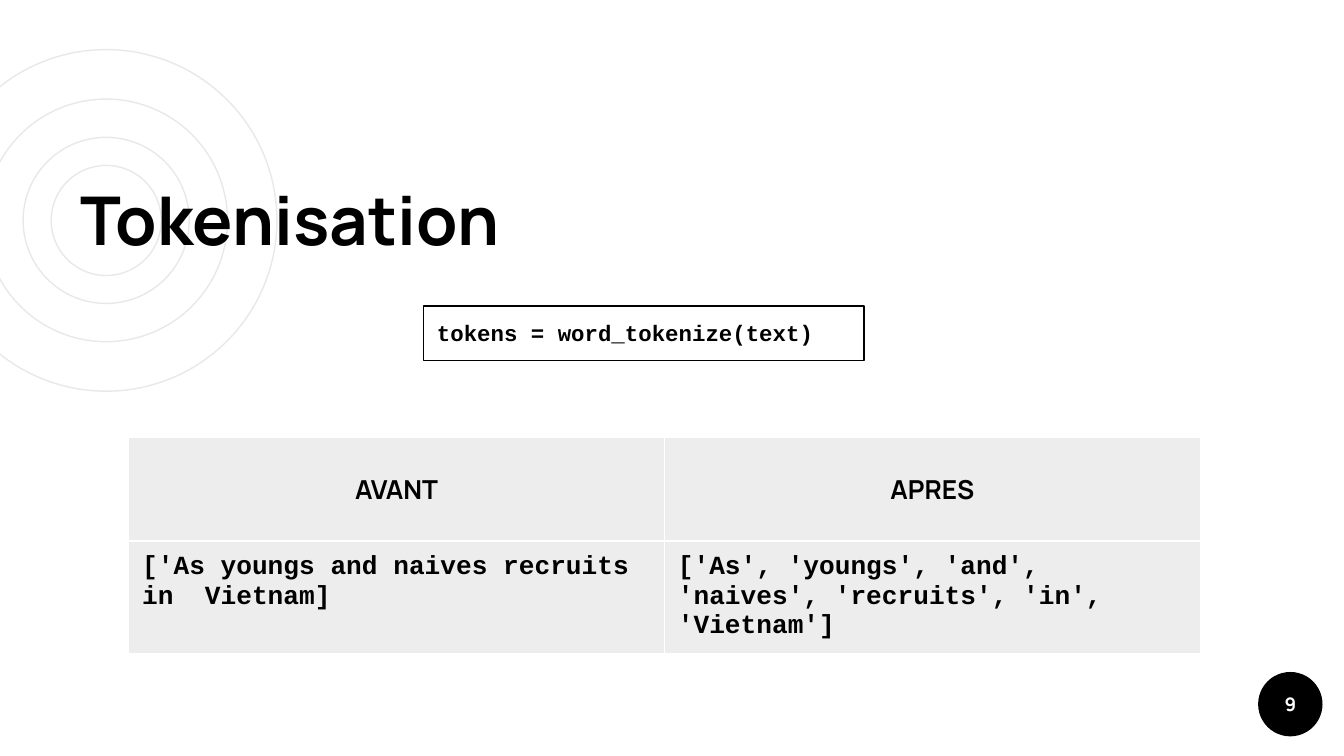
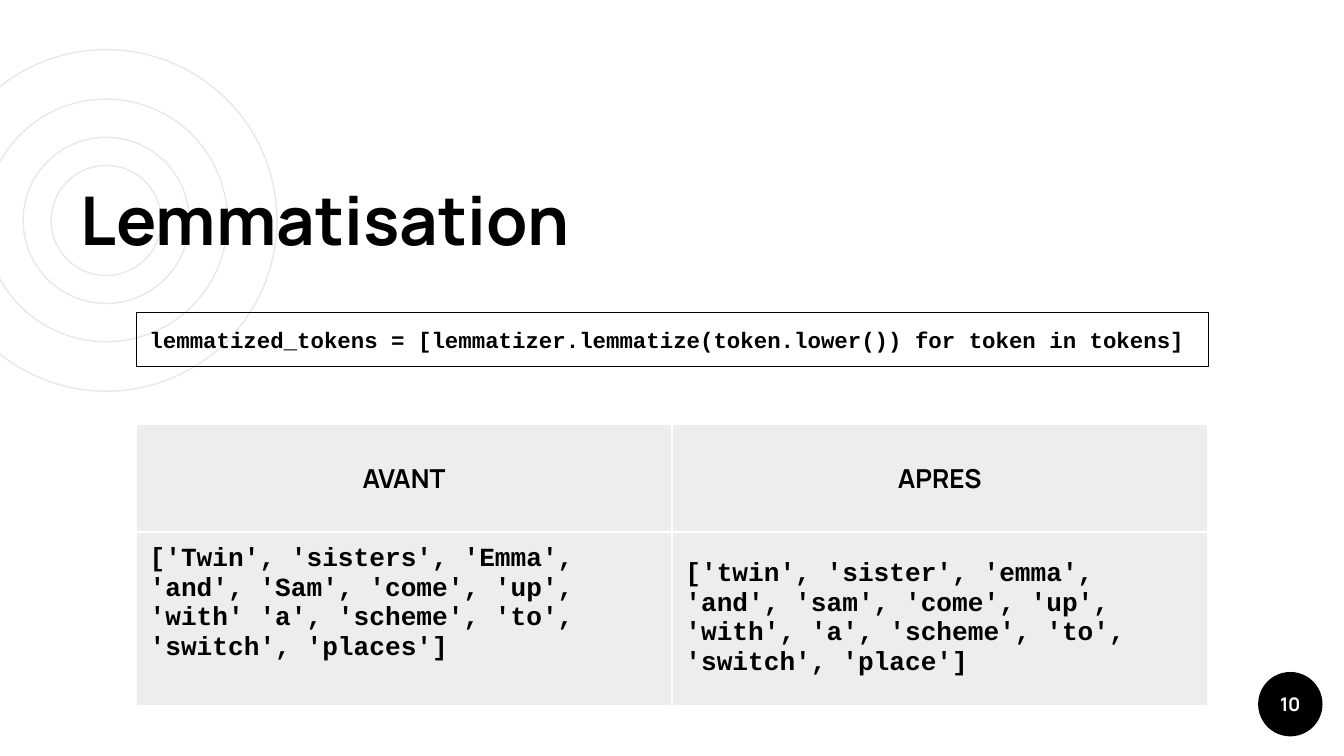
from lxml import etree
from pptx import Presentation
from pptx.dml.color import RGBColor
from pptx.enum import shapes, text
from pptx.oxml import ns
from pptx.util import Pt

BLACK, WHITE, RING_GREY = "000000", "FFFFFF", "E8E8E8"
SANS, MONO = "Manrope", "Courier New"
CELL_ALPHA = "7000"  # 7 % black
CODE_LINE = 16  # height of one line of 14 pt code

RING_CENTRE = (56.9, 118.1)
RING_DIAMETERS = [183, 89, 130, 59]
BADGE = (674, 360, 34.5, 34.5)
TITLE = (36, 92, 411, 54)
COLUMN_WIDTH = 287

PAGES = [
    {
        "title": "Tokenisation",
        "number": "9",
        "code": "tokens = word_tokenize(text)",
        "code_at": (227, 164, 236, 29),
        "table_at": (69, 234.3),
        "rows": (55.5, 52),
        "before": "['As youngs and naives recruits in  Vietnam]",
        "after": "['As', 'youngs', 'and', 'naives', 'recruits', 'in', 'Vietnam']",
    },
    {
        "title": "Lemmatisation",
        "number": "10",
        "code": "lemmatized_tokens = [lemmatizer.lemmatize(token.lower()) for token in tokens]",
        "code_at": (73, 167.5, 574.5, 29),
        "table_at": (73, 227.5),
        "rows": (57.5, 86),
        "before": "['Twin', 'sisters', 'Emma', 'and', 'Sam', 'come', 'up', 'with' 'a', "
                  "'scheme', 'to', 'switch', 'places']",
        "after": "['twin', 'sister', 'emma', 'and', 'sam', 'come', 'up', 'with', 'a', "
                 "'scheme', 'to', 'switch', 'place']",
    },
]


def color(value):
    return RGBColor.from_string(value)


def write(frame, words, size, face, ink=BLACK, align=text.PP_ALIGN.LEFT, inset=7.2):
    """Fill a text frame with one bold run."""
    frame.word_wrap = True
    frame.margin_left = frame.margin_right = Pt(7.2)
    frame.margin_top = frame.margin_bottom = Pt(inset)
    para = frame.paragraphs[0]
    para.alignment = align
    span = para.add_run()
    span.text = words
    span.font.name = face
    span.font.size = Pt(size)
    span.font.bold = True
    span.font.color.rgb = color(ink)


deck = Presentation()
deck.slide_width, deck.slide_height = Pt(720), Pt(405)

for content in PAGES:
    page = deck.slides.add_slide(deck.slide_layouts[5])

    rings = page.shapes.add_group_shape()
    for diameter in RING_DIAMETERS:
        left, top = (centre - diameter / 2 for centre in RING_CENTRE)
        ring = rings.shapes.add_shape(
            shapes.MSO_SHAPE.OVAL, Pt(left), Pt(top), Pt(diameter), Pt(diameter))
        ring.shadow.inherit = False
        ring.fill.background()
        ring.line.color.rgb = color(RING_GREY)
        ring.line.width = Pt(0.75)

    badge = page.shapes.add_shape(shapes.MSO_SHAPE.OVAL, *map(Pt, BADGE))
    badge.shadow.inherit = False
    badge.fill.solid()
    badge.fill.fore_color.rgb = color(BLACK)
    badge.line.fill.background()

    # The title stands in front of the rings
    title = page.shapes.title
    page.shapes.element.append(title.element)
    title.left, title.top, title.width, title.height = map(Pt, TITLE)
    write(title.text_frame, content["title"], 36, SANS)
    title.text_frame.auto_size = text.MSO_AUTO_SIZE.NONE
    title.text_frame.vertical_anchor = text.MSO_ANCHOR.BOTTOM

    number = page.shapes.add_textbox(*map(Pt, BADGE))
    write(number.text_frame, content["number"], 10, SANS, WHITE, text.PP_ALIGN.CENTER)
    number.text_frame.vertical_anchor = text.MSO_ANCHOR.MIDDLE

    left, top = content["table_at"]
    table = page.shapes.add_table(
        2, 2, Pt(left), Pt(top), Pt(2 * COLUMN_WIDTH), Pt(sum(content["rows"]))).table
    table.first_row = table.horz_banding = False
    for column in table.columns:
        column.width = Pt(COLUMN_WIDTH)
    for row, height in zip(table.rows, content["rows"]):
        row.height = Pt(height)

    cell_texts = ["AVANT", "APRES", content["before"], content["after"]]
    for index, (cell, words) in enumerate(zip(table.iter_cells(), cell_texts)):
        if index < 2:
            face, align = SANS, text.PP_ALIGN.CENTER
        else:
            face, align = MONO, text.PP_ALIGN.LEFT
        write(cell.text_frame, words, 14, face, align=align)
        cell.vertical_anchor = text.MSO_ANCHOR.MIDDLE
        cell.margin_left = cell.margin_right = Pt(7.2)
        cell.margin_top = cell.margin_bottom = Pt(5)
        if index == 2:
            cell.margin_bottom = Pt(5 + CODE_LINE)

        properties = cell._tc.get_or_add_tcPr()
        for side in ("a:lnL", "a:lnR", "a:lnT", "a:lnB"):
            border = etree.SubElement(properties, ns.qn(side), w=str(Pt(0.75)))
            paint = etree.SubElement(border, ns.qn("a:solidFill"))
            etree.SubElement(paint, ns.qn("a:srgbClr"), val=WHITE)
        cell.fill.solid()
        cell.fill.fore_color.rgb = color(BLACK)
        shade = properties.find(ns.qn("a:solidFill"))
        etree.SubElement(shade[0], ns.qn("a:alpha"), val=CELL_ALPHA)
        properties.append(shade)  # the fill follows the borders

    code = page.shapes.add_shape(shapes.MSO_SHAPE.RECTANGLE, *map(Pt, content["code_at"]))
    code.shadow.inherit = False
    code.fill.background()
    code.line.color.rgb = color(BLACK)
    code.line.width = Pt(0.75)
    write(code.text_frame, content["code"], 12, MONO)
    code.text_frame.auto_size = text.MSO_AUTO_SIZE.SHAPE_TO_FIT_TEXT
    code.text_frame.vertical_anchor = text.MSO_ANCHOR.TOP

deck.save("out.pptx")
